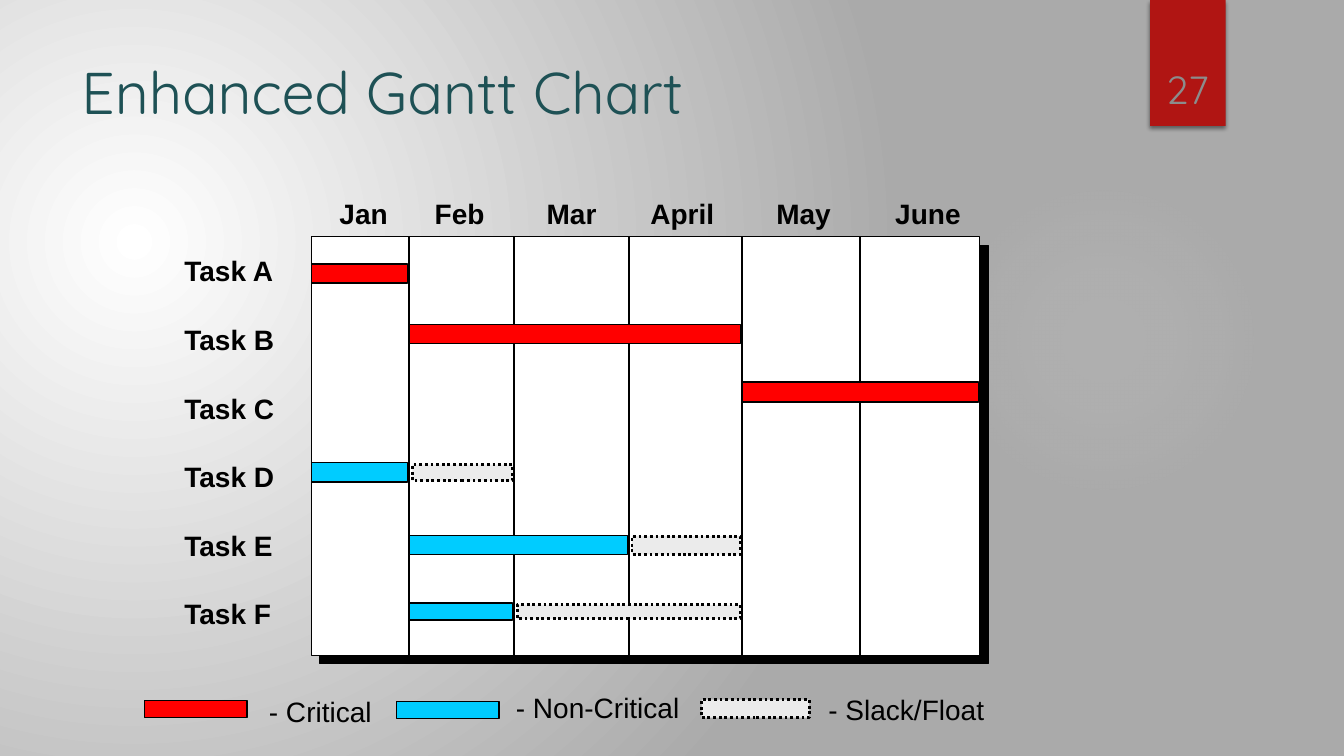
from dataclasses import dataclass

from lxml import etree
from pptx import Presentation
from pptx.dml.color import RGBColor
from pptx.enum import dml, shapes, text
from pptx.oxml import ns
from pptx.util import Pt


@dataclass(frozen=True)
class Theme:
    title: str = "1E5155"
    number: str = "8C8C8C"
    ribbon: str = "B01513"
    black: str = "000000"
    white: str = "FFFFFF"
    gray: str = "AAAAAA"
    glow: str = "F3F3F3"
    critical: str = "FF0000"
    non_critical: str = "00CCFF"
    slack: str = "EBEBEB"
    heading_font: str = "Quicksand"
    label_font: str = "Arial"
    title_size: int = 42
    number_size: int = 28
    label_size: int = 20


THEME = Theme()

# Chart layout, in points
MONTHS = ["Jan", "Feb", "Mar", "April", "May", "June"]
MONTH_TABS = [68, 148, 222, 312, 397]
EDGES = [222.5, 292.3, 367.2, 449.3, 529.9, 614.2, 699.8]
CHART_TOP, CHART_BOTTOM = 169.2, 468
TASKS = ["Task A", "Task B", "Task C", "Task D", "Task E", "Task F"]

# Kind, first edge, last edge, top, height
BARS = [
    ("critical", 0, 1, 188.6, 13.7),
    ("critical", 1, 4, 231.8, 13.7),
    ("critical", 4, 6, 272.9, 14.4),
    ("non_critical", 0, 1, 330.5, 13.7),
    ("non_critical", 1, 3, 382.3, 13.7),
    ("non_critical", 1, 2, 430.6, 12.2),
    ("slack", 1, 2, 331.9, 11.5),
    ("slack", 3, 4, 383, 13),
    ("slack", 2, 4, 432, 10.1),
]

# Kind, bar box, label, label position
LEGEND = [
    ("critical", (103, 500.4, 73.4, 12.2), "- Critical", (185, 492.5)),
    ("non_critical", (283, 501.1, 73.4, 12.2), "- Non-Critical", (361.4, 489.6)),
    ("slack", (501.1, 499.7, 77, 13), "- Slack/Float", (584.6, 491)),
]


def rgb(color):
    return RGBColor.from_string(color)


def add_child(parent, tag, **attributes):
    child = etree.SubElement(parent, ns.qn(tag))
    for name, value in attributes.items():
        child.set(name, str(value))
    return child


def set_radial_fill(fill, owner, stops, focus):
    """Fill with a circular gradient; stops are (percent, color, opacity)."""
    fill.background()
    empty_fill = owner.find(".//" + ns.qn("a:noFill"))
    gradient = etree.Element(ns.qn("a:gradFill"), rotWithShape="1")
    stop_list = add_child(gradient, "a:gsLst")
    for position, color, opacity in stops:
        stop = add_child(stop_list, "a:gs", pos=position * 1000)
        tint = add_child(stop, "a:srgbClr", val=color)
        if opacity < 100:
            add_child(tint, "a:alpha", val=opacity * 1000)
    circle = add_child(gradient, "a:path", path="circle")
    sides = {side: value * 1000 for side, value in zip("ltrb", focus)}
    add_child(circle, "a:fillToRect", **sides)
    empty_fill.getparent().replace(empty_fill, gradient)


def add_block(slide, box, fill=None, line_width=0, dotted=False,
              kind=shapes.MSO_SHAPE.RECTANGLE):
    shape = slide.shapes.add_shape(kind, *map(Pt, box))
    shape.shadow.inherit = False
    if fill:
        shape.fill.solid()
        shape.fill.fore_color.rgb = rgb(fill)
    if line_width:
        shape.line.color.rgb = rgb(THEME.black)
        shape.line.width = Pt(line_width)
        if dotted:
            shape.line.dash_style = dml.MSO_LINE.ROUND_DOT
    else:
        shape.line.fill.background()
    return shape


def add_shadow(shape, opacity, blur, distance, angle):
    effects = shape.element.spPr.find(ns.qn("a:effectLst"))
    shadow = add_child(effects, "a:outerShdw", blurRad=Pt(blur),
                       dist=Pt(distance), dir=angle * 60000,
                       algn="tl", rotWithShape=0)
    color = add_child(shadow, "a:srgbClr", val=THEME.black)
    add_child(color, "a:alpha", val=opacity * 1000)


def add_bar(slide, kind, box):
    is_slack = kind == "slack"
    add_block(slide, box, getattr(THEME, kind), 2 if is_slack else 1, is_slack)


def add_text(slide, box, lines, size=THEME.label_size, font=THEME.label_font,
             color=THEME.black, bold=False, gap=0, tabs=(),
             align=text.PP_ALIGN.LEFT, anchor=text.MSO_ANCHOR.TOP):
    frame = slide.shapes.add_textbox(*map(Pt, box)).text_frame
    frame.word_wrap = True
    frame.vertical_anchor = anchor
    for index, line in enumerate(lines):
        paragraph = frame.paragraphs[0] if index == 0 else frame.add_paragraph()
        paragraph.text = line
        paragraph.alignment = align
        if index and gap:
            paragraph.space_before = Pt(gap)
        if tabs:
            tab_list = add_child(paragraph._p.get_or_add_pPr(), "a:tabLst")
            for position in tabs:
                add_child(tab_list, "a:tab", pos=Pt(position), algn="l")
        paragraph.font.size = Pt(size)
        paragraph.font.name = font
        paragraph.font.bold = bold
        paragraph.font.color.rgb = rgb(color)


def add_month_line(slide, x):
    connector = slide.shapes.add_connector(
        shapes.MSO_CONNECTOR.STRAIGHT,
        Pt(x), Pt(CHART_TOP), Pt(x), Pt(CHART_BOTTOM))
    connector.line.color.rgb = rgb(THEME.black)
    connector.line.width = Pt(1)
    add_child(connector.element.spPr, "a:effectLst")


def add_backdrop(slide):
    set_radial_fill(slide.background.fill, slide.element,
                    [(0, THEME.white, 100), (100, THEME.gray, 100)],
                    (45, 65, 125, 100))
    glow = add_block(slide, (677.5, 131.8, 221.8, 221.8),
                     kind=shapes.MSO_SHAPE.OVAL)
    glow.fill.background()
    set_radial_fill(glow.fill, glow.element.spPr,
                    [(0, THEME.glow, 7), (36, THEME.glow, 6), (69, THEME.glow, 0)],
                    (50, 50, 50, 50))
    ribbon = add_block(slide, (821.5, 0, 54, 90), THEME.ribbon)
    add_shadow(ribbon, 45, 3, 2, 90)


def add_gantt(slide):
    frame = add_block(slide, (EDGES[0], CHART_TOP, EDGES[-1] - EDGES[0],
                              CHART_BOTTOM - CHART_TOP), THEME.white, 0.75)
    add_shadow(frame, 100, 0, 8.5, 45)
    for x in EDGES[1:-1]:
        add_month_line(slide, x)
    add_text(slide, (235.4, 136.8, 470, 31.7), ["\t".join(MONTHS)],
             bold=True, tabs=MONTH_TABS)
    add_text(slide, (124.6, 177.8, 90, 273.6), TASKS, bold=True, gap=25)
    for kind, first, last, top, height in BARS:
        left = EDGES[first] + (2.2 if kind == "slack" else 0)
        add_bar(slide, kind, (left, top, EDGES[last] - 1 - left, height))


def add_legend(slide):
    for kind, box, label, position in LEGEND:
        add_bar(slide, kind, box)
        add_text(slide, (*position, 140, 31.7), [label])


def main():
    presentation = Presentation()
    presentation.slide_width, presentation.slide_height = Pt(960), Pt(540)
    slide = presentation.slides.add_slide(presentation.slide_layouts[6])

    # Backdrop, title and slide number
    add_backdrop(slide)
    add_text(slide, (51.1, 36, 740.9, 110.2), ["Enhanced Gantt Chart"],
             THEME.title_size, THEME.heading_font, THEME.title)
    add_text(slide, (815, 23, 66.2, 60.5), ["27"],
             THEME.number_size, THEME.heading_font, THEME.number,
             align=text.PP_ALIGN.CENTER, anchor=text.MSO_ANCHOR.BOTTOM)

    # Chart and its key
    add_gantt(slide)
    add_legend(slide)
    presentation.save("out.pptx")


if __name__ == "__main__":
    main()
